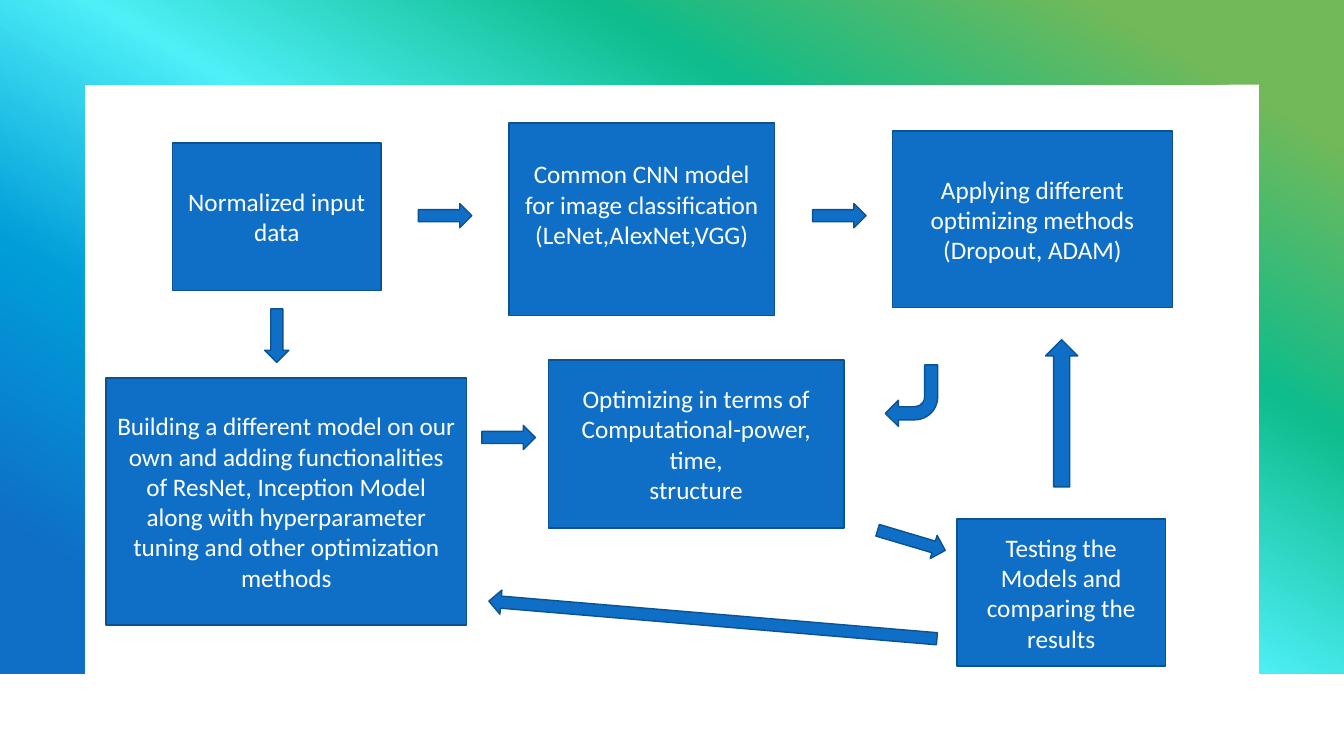
from lxml import etree
from pptx import Presentation
from pptx import util as u
from pptx.dml.color import RGBColor
from pptx.enum import shapes, text
from pptx.oxml.ns import qn

COLORS = {"blue": "0F6FC6", "edge": "0B5292", "label": "FFFFFF"}
FRAME_STOPS = [(10, "71B959"), (30, "0EBC8C"), (50, "4EEFF7"), (70, "009DD9"), (90, "0F6FC6")]
SLIDE_W, SLIDE_H = 13.33, 7.5
FRAME = (0, 0, SLIDE_W, 6.68)
MARGIN = 0.84
PANEL = (MARGIN, MARGIN, SLIDE_W - 2 * MARGIN, FRAME[3] - MARGIN)

# Places are offsets from the panel's corner: left, top, width, height
STAGES = [
    ("Normalized input data", 0.87, 0.58, 2.07, 1.46),
    ("Common CNN model for image classification\n(LeNet,AlexNet,VGG)", 4.21, 0.38, 2.63, 1.91),
    ("Applying different optimizing methods\n(Dropout, ADAM)", 8.01, 0.46, 2.78, 1.75),
    ("Building a different model on our own and adding functionalities of ResNet, "
     "Inception Model along with hyperparameter tuning and other optimization methods",
     0.21, 2.91, 3.58, 2.45),
    ("Optimizing in terms of Computational-power, time,\nstructure", 4.6, 2.73, 2.93, 1.67),
    ("Testing the Models and comparing the results", 8.65, 4.31, 2.07, 1.46),
]
RAISED_STAGE = 1  # its text sits one line higher

RIGHT = shapes.MSO_SHAPE.RIGHT_ARROW
DOWN = shapes.MSO_SHAPE.DOWN_ARROW
BENT = shapes.MSO_SHAPE.BENT_ARROW
STEP = (0.53, 0.24)
ARROWS = [
    (RIGHT, 3.31, 1.18, *STEP, 0),
    (RIGHT, 7.22, 1.18, *STEP, 0),
    (RIGHT, 1.64, 2.37, *STEP, 90),
    (RIGHT, 3.94, 3.38, *STEP, 0),
    (BENT, 7.94, 2.78, 0.52, 0.61, 180),
    (DOWN, 8.08, 4.17, 0.24, 0.7, 286.6),
    (RIGHT, 8.96, 3.1, 1.46, 0.32, 270),
    (RIGHT, 4, 5.19, 4.46, 0.24, 184.8),
]


def add_frame(slide, box):
    """Draw the gradient border, open at the bottom."""
    left, top, width, height = box
    right, bottom = left + width, top + height
    inner_left, inner_right, inner_top = left + MARGIN, right - MARGIN, top + MARGIN
    outline = [(right, top), (right, bottom), (inner_right, bottom), (inner_right, inner_top),
               (inner_left, inner_top), (inner_left, bottom), (left, bottom)]
    builder = slide.shapes.build_freeform(u.Inches(left), u.Inches(top))
    builder.add_line_segments([(u.Inches(x), u.Inches(y)) for x, y in outline], close=True)
    frame = builder.convert_to_shape()
    frame.shadow.inherit = False
    frame.line.fill.background()
    frame.fill.gradient()
    frame.fill.gradient_angle = 240
    stops = frame._element.spPr.find(qn("a:gradFill")).find(qn("a:gsLst"))
    for stop in list(stops):
        stops.remove(stop)
    for percent, color in FRAME_STOPS:
        stop = etree.SubElement(stops, qn("a:gs"), pos=str(percent * 1000))
        etree.SubElement(stop, qn("a:srgbClr"), val=color)


def add_blue_shape(slide, panel, kind, left, top, width, height):
    shape = slide.shapes.add_shape(kind, u.Inches(panel[0] + left), u.Inches(panel[1] + top),
                                   u.Inches(width), u.Inches(height))
    shape.shadow.inherit = False
    shape.fill.solid()
    shape.fill.fore_color.rgb = RGBColor.from_string(COLORS["blue"])
    shape.line.color.rgb = RGBColor.from_string(COLORS["edge"])
    shape.line.width = u.Pt(1)
    return shape


def add_stages(slide, panel):
    for index, (label, *place) in enumerate(STAGES):
        stage = add_blue_shape(slide, panel, shapes.MSO_SHAPE.RECTANGLE, *place)
        frame = stage.text_frame
        frame.word_wrap = True
        frame.vertical_anchor = text.MSO_ANCHOR.MIDDLE
        if index == RAISED_STAGE:
            frame.margin_bottom = u.Inches(0.35)
        frame.text = label
        for paragraph in frame.paragraphs:
            paragraph.alignment = text.PP_ALIGN.CENTER
            paragraph.font.name = "Calibri"
            paragraph.font.size = u.Pt(18)
            paragraph.font.color.rgb = RGBColor.from_string(COLORS["label"])


def add_arrows(slide, panel):
    for kind, *place, rotation in ARROWS:
        add_blue_shape(slide, panel, kind, *place).rotation = rotation


def main():
    deck = Presentation()
    deck.slide_width, deck.slide_height = u.Inches(SLIDE_W), u.Inches(SLIDE_H)
    slide = deck.slides.add_slide(deck.slide_layouts[6])
    add_frame(slide, FRAME)
    add_stages(slide, PANEL)
    add_arrows(slide, PANEL)
    deck.save("out.pptx")


if __name__ == "__main__":
    main()
